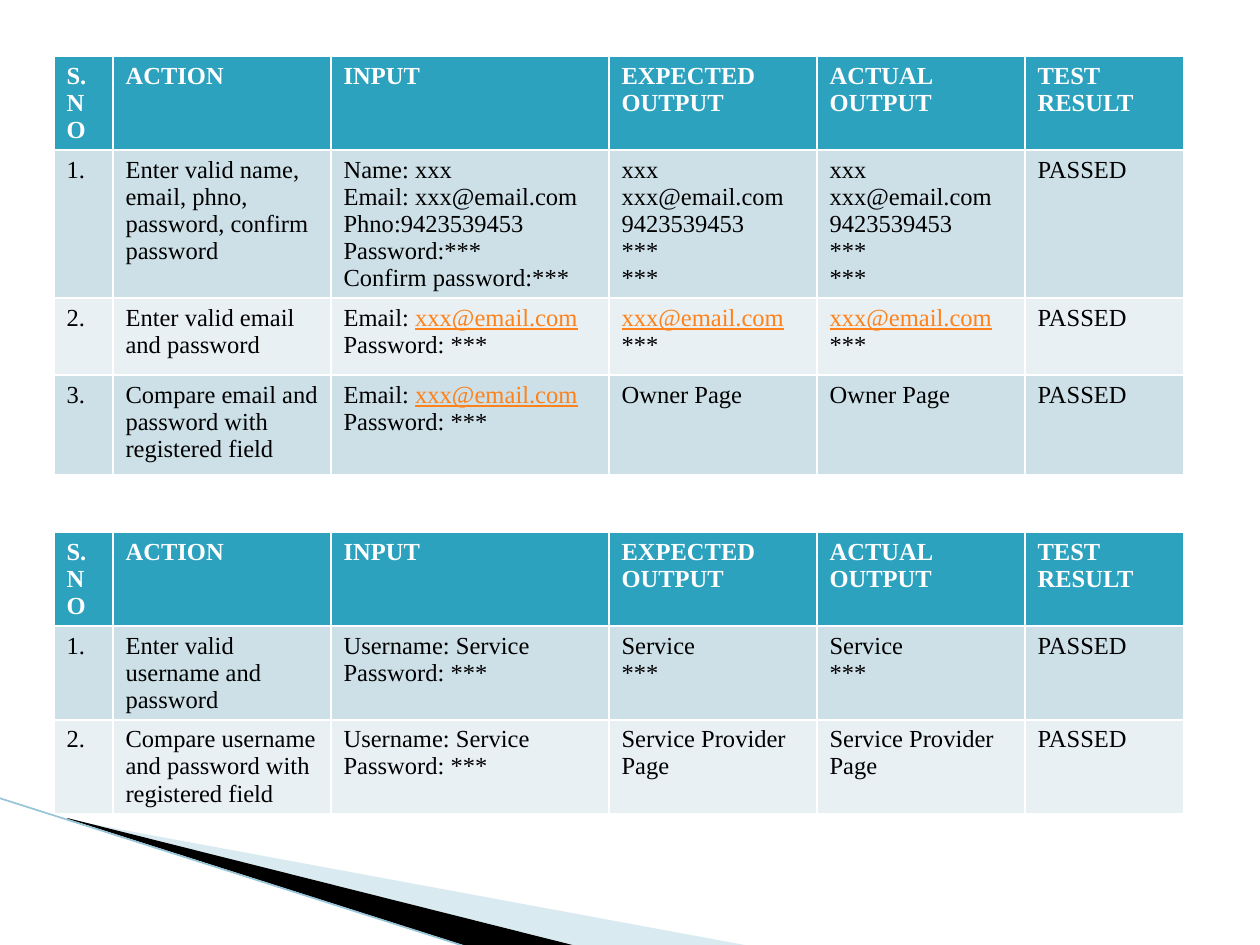
from dataclasses import dataclass

from lxml import etree
from pptx import Presentation
from pptx.dml.color import RGBColor
from pptx.enum.shapes import MSO_CONNECTOR
from pptx.oxml.ns import qn
from pptx.util import Pt

STRAIGHT = MSO_CONNECTOR.STRAIGHT
SCALE = 914400 / 126
SLIDE_SIZE = (1260, 945)
LINK_MARK = "|"


@dataclass(frozen=True)
class Theme:
    font: str = "Times New Roman"
    size: int = 14
    header_text: str = "FFFFFF"
    body_text: str = "000000"
    link: str = "FF8119"
    header_fill: str = "2DA2BF"
    bands: tuple = ("CDE0E8", "E8F0F4")
    pale_sweep: str = "A0CBDC"
    dark_sweep: str = "000000"
    edge: str = "97C5D8"
    edge_width: float = 0.95


THEME = Theme()

SWEEPS = [
    {"points": [(69, 820), (750, 946), (575, 946), (69, 819)], "color": THEME.pale_sweep, "alpha": 40},
    {"points": [(67, 818), (576, 946), (469, 947), (68, 819)], "color": THEME.dark_sweep, "alpha": 100},
]
EDGE = (-1, 798, 467, 947)

TABLE_LEFT = 54
COLUMN_WIDTHS = [59, 218, 278, 208, 208, 159]
HEADERS = ["S.NO", "ACTION", "INPUT", "EXPECTED OUTPUT", "ACTUAL OUTPUT", "TEST RESULT"]
RESULT = "PASSED"

REGISTERED = ["xxx", "xxx@email.com", "9423539453", "***", "***"]
LOGIN_INPUT = ["Email: |xxx@email.com", "Password: ***"]
LOGIN_OUTPUT = ["|xxx@email.com", "***"]
SERVICE_INPUT = ["Username: Service", "Password: ***"]

TEST_TABLES = [
    {
        "top": 56,
        "height": 438,
        "rows": [82, 147, 77, 100],
        "cases": [
            (
                "Enter valid name, email, phno, password, confirm password",
                ["Name: xxx", "Email: xxx@email.com", "Phno:9423539453", "Password:***", "Confirm password:***"],
                REGISTERED,
            ),
            ("Enter valid email and password", LOGIN_INPUT, LOGIN_OUTPUT),
            ("Compare email and password with registered field", LOGIN_INPUT, ["Owner Page"]),
        ],
    },
    {
        "top": 532,
        "height": 302,
        "rows": [89, 89, 89],
        "cases": [
            ("Enter valid username and password", SERVICE_INPUT, ["Service", "***"]),
            ("Compare username and password with registered field", SERVICE_INPUT, ["Service Provider Page"]),
        ],
    },
]


def px(length):
    return round(length * SCALE)


def add_run(paragraph, text, color, **formats):
    run = paragraph.add_run()
    run.text = text
    run.font.color.rgb = RGBColor.from_string(color)
    formats = {"name": THEME.font, "size": Pt(THEME.size), **formats}
    for name, value in formats.items():
        setattr(run.font, name, value)


def fill_cell(cell, lines, fill, color, bold):
    cell.fill.solid()
    cell.fill.fore_color.rgb = RGBColor.from_string(fill)
    frame = cell.text_frame
    for index, line in enumerate(lines):
        paragraph = frame.add_paragraph() if index else frame.paragraphs[0]
        plain, _, link = line.partition(LINK_MARK)
        if plain:
            add_run(paragraph, plain, color, bold=bold)
        if link:
            add_run(paragraph, link, THEME.link, bold=bold, underline=True)


def add_test_table(slide, content):
    cases = content["cases"]
    shape = slide.shapes.add_table(
        len(cases) + 1, len(HEADERS), px(TABLE_LEFT), px(content["top"]),
        px(sum(COLUMN_WIDTHS)), px(content["height"]),
    )
    table = shape.table
    for column, width in zip(table.columns, COLUMN_WIDTHS):
        column.width = px(width)
    for row, height in zip(table.rows, content["rows"]):
        row.height = px(height)
    shape.height = px(content["height"])

    for cell, header in zip(table.rows[0].cells, HEADERS):
        fill_cell(cell, [header], THEME.header_fill, THEME.header_text, True)
    for number, (action, entered, output) in enumerate(cases, 1):
        values = [[f"{number}."], [action], entered, output, output, [RESULT]]
        band = THEME.bands[(number - 1) % len(THEME.bands)]
        for cell, lines in zip(table.rows[number].cells, values):
            fill_cell(cell, lines, band, THEME.body_text, False)


def add_sweep(slide, points, color, alpha):
    builder = slide.shapes.build_freeform(*points[0], scale=SCALE)
    builder.add_line_segments(points[1:], close=True)
    shape = builder.convert_to_shape()
    shape.shadow.inherit = False
    shape.line.fill.background()
    shape.fill.solid()
    shape.fill.fore_color.rgb = RGBColor.from_string(color)
    if alpha < 100:
        color_element = shape.fill._xPr.find(qn("a:solidFill"))[0]
        etree.SubElement(color_element, qn("a:alpha"), val=str(alpha * 1000))


def add_edge(slide):
    connector = slide.shapes.add_connector(STRAIGHT, *map(px, EDGE))
    connector.line.color.rgb = RGBColor.from_string(THEME.edge)
    connector.line.width = Pt(THEME.edge_width)
    etree.SubElement(connector._element.spPr, qn("a:effectLst"))


def main():
    presentation = Presentation()
    presentation.slide_width, presentation.slide_height = map(px, SLIDE_SIZE)
    slide = presentation.slides.add_slide(presentation.slide_layouts[6])
    for sweep in SWEEPS:
        add_sweep(slide, **sweep)
    add_edge(slide)
    for content in TEST_TABLES:
        add_test_table(slide, content)
    presentation.save("out.pptx")


if __name__ == "__main__":
    main()
